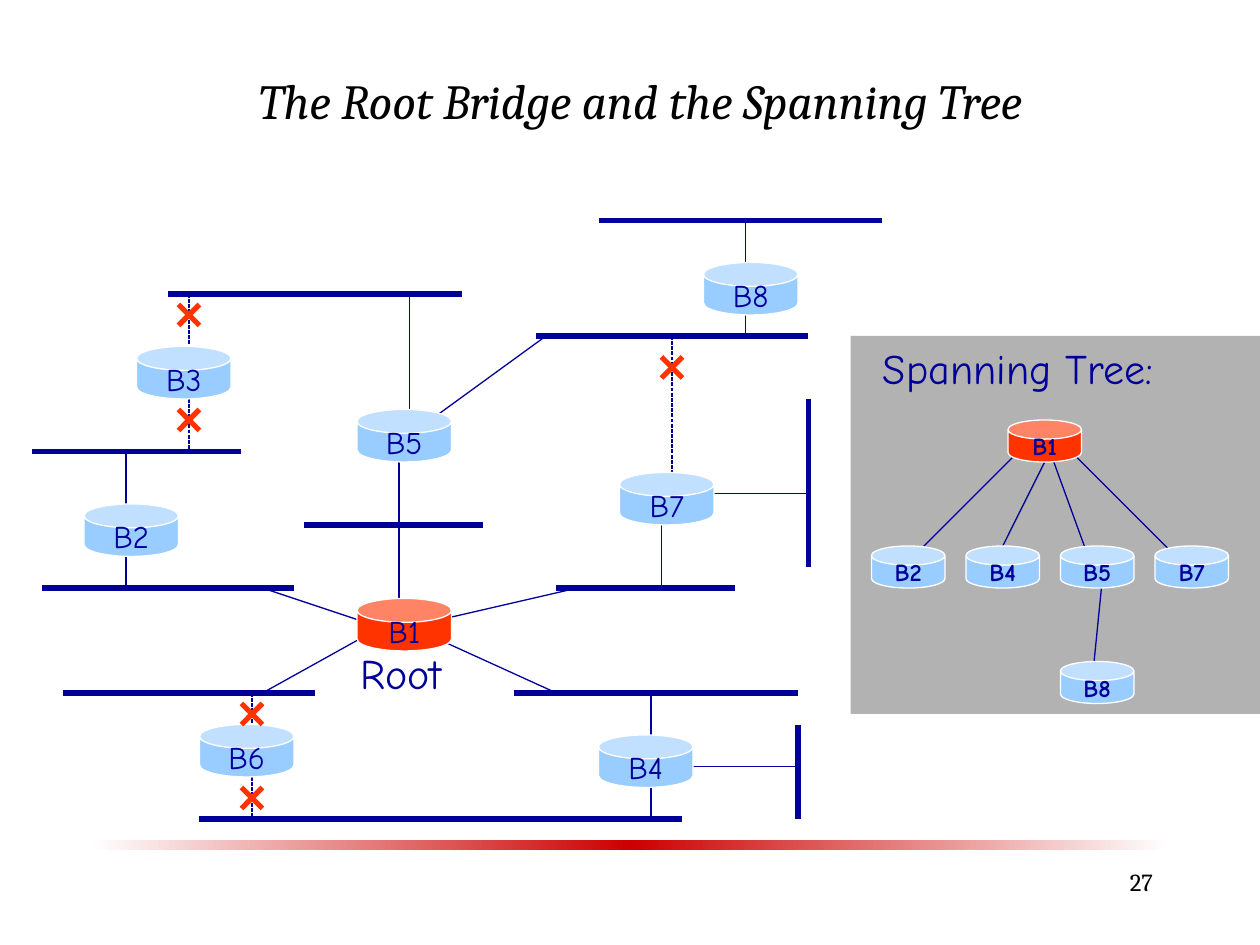
from copy import deepcopy
from pptx import Presentation
from pptx.dml.color import RGBColor
from pptx.enum.dml import MSO_LINE
from pptx.enum.shapes import MSO_CONNECTOR, MSO_SHAPE as SHAPE
from pptx.enum.text import MSO_ANCHOR as ANCHOR, PP_ALIGN as ALIGN
from pptx.oxml.ns import qn
from pptx.util import Pt
from lxml import etree

THEME = dict(
    navy="000099", blue="99CCFF", red="FF3300", grey="B2B2B2", white="FFFFFF",
    black="000000", bar=("FEFEFE", "CC0000", "FEFEFE"),
    serif="Cambria", comic="Comic Neue",
    title=28, heading=24, bridge=18, small=14, thick=3, thin=0.75,
)

# Content: lines are (x1, y1, x2, y2), bridges are name: (left, top), in points
TITLE = "The Root Bridge and the Spanning Tree"
ROOT = "B1"
LANS = [
    (342, 126, 504, 126), (96, 168, 264, 168), (306, 192, 462, 192),
    (462, 228, 462, 324), (18, 258, 138, 258), (174, 300, 276, 300),
    (24, 336, 168, 336), (318, 336, 420, 336), (36, 396, 180, 396),
    (294, 396, 456, 396), (456, 414, 456, 468), (114, 468, 390, 468),
]
LINKS = [
    (72, 336, 72, 306), (72, 288, 72, 258),                             # B2
    (234, 234, 234, 168), (246, 240, 312, 192), (228, 264, 228, 300),   # B5
    (228, 300, 228, 342), (150, 336, 204, 354), (150, 396, 204, 366),   # B1
    (252, 354, 330, 336), (252, 366, 318, 396),
    (372, 420, 372, 396), (372, 450, 372, 468), (390, 438, 456, 438),   # B4
    (378, 300, 378, 336), (408, 282, 462, 282),                         # B7
    (426, 126, 426, 150), (426, 180, 426, 192),                         # B8
]
BLOCKED_LINKS = [
    (108, 168, 108, 198), (108, 216, 108, 258),                         # B3
    (144, 396, 144, 414), (144, 444, 144, 468),                         # B6
    (384, 192, 384, 270),                                               # B7
]
CROSSES = [(108, 180), (108, 240), (144, 408), (144, 456), (384, 210)]
BRIDGES = {
    "B3": (78, 198), "B5": (204, 234), "B7": (354, 270), "B2": (48, 288),
    "B1": (204, 342), "B6": (114, 414), "B4": (342, 420), "B8": (402, 150),
}
TREE_LINKS = [
    (582, 258, 522, 318), (600, 258, 570, 318), (600, 258, 624, 324),
    (612, 258, 678, 324), (630, 330, 624, 390),
]
TREE_CHILDREN = ["B2", "B4", "B5", "B7"]
CHILD_LEFT, CHILD_STEP = 498, 54
TREE = {name: (CHILD_LEFT + i * CHILD_STEP, 312)
        for i, name in enumerate(TREE_CHILDREN)}
TREE |= {"B8": (606, 378), "B1": (576, 240)}
BRIDGE_SIZE, TREE_SIZE, CROSS_ARM = (54, 30), (42, 24), 6

prs = Presentation()
prs.slide_width, prs.slide_height = Pt(720), Pt(540)
slide = prs.slides.add_slide(prs.slide_layouts[5])
shapes = slide.shapes


def rgb(name):
    return RGBColor.from_string(THEME[name])


def write(sp, text, size, font="comic", color="navy", align=ALIGN.LEFT,
          anchor=ANCHOR.TOP, wrap=False, bold=False, italic=False):
    tf = sp.text_frame
    tf.word_wrap, tf.vertical_anchor = wrap, anchor
    p = tf.paragraphs[0]
    p.alignment = align
    r = p.add_run()
    r.text = text
    f = r.font
    f.name, f.size, f.bold, f.italic = THEME[font], Pt(THEME[size]), bold, italic
    f.color.rgb = rgb(color)


def add_text(x, y, w, h, text, size, **fmt):
    write(shapes.add_textbox(Pt(x), Pt(y), Pt(w), Pt(h)), text, size, **fmt)


def add_line(ends, width="thin", color="navy", dash=None):
    line = shapes.add_connector(MSO_CONNECTOR.STRAIGHT, *map(Pt, ends))
    line.line.color.rgb, line.line.width = rgb(color), Pt(THEME[width])
    if dash:
        line.line.dash_style = dash
    etree.SubElement(line._element.spPr, qn("a:effectLst"))


def add_box(kind, x, y, w, h, fill):
    sp = shapes.add_shape(kind, Pt(x), Pt(y), Pt(w), Pt(h))
    sp.shadow.inherit = False
    sp.line.fill.background()
    sp.fill.solid()
    sp.fill.fore_color.rgb = rgb(fill)
    return sp


def add_bridges(places, box, size, bold=False):
    for name, (x, y) in places.items():
        can = add_box(SHAPE.CAN, x, y, *box, "red" if name == ROOT else "blue")
        can.adjustments[0] = 0.455
        can.line.color.rgb, can.line.width = rgb("white"), Pt(THEME["thin"])
        write(can, name, size, bold=bold, align=ALIGN.CENTER, anchor=ANCHOR.MIDDLE)


# Title
title = shapes.title
title.left, title.top, title.width, title.height = map(Pt, (72, 18, 588, 78))
write(title, TITLE, "title", font="serif", color="black", italic=True,
      align=ALIGN.CENTER, anchor=ANCHOR.MIDDLE, wrap=True)

# Footer bar, fading out to both sides
bar = add_box(SHAPE.RECTANGLE, 54, 480, 612, 6, "white")
bar.fill.gradient()
bar.fill.gradient_angle = 0
first = bar.fill.gradient_stops[0]._gs
first.addnext(deepcopy(first))
for i, (stop, color) in enumerate(zip(bar.fill.gradient_stops, THEME["bar"])):
    stop.position = i / 2
    stop.color.rgb = RGBColor.from_string(color)

# Network: LAN segments, links, bridges and blocked ports
add_box(SHAPE.RECTANGLE, 486, 192, 234, 216, "grey")
for ends in LANS:
    add_line(ends, "thick")
for ends in LINKS:
    add_line(ends)
for ends in BLOCKED_LINKS:
    add_line(ends, dash=MSO_LINE.SQUARE_DOT)
add_bridges(BRIDGES, BRIDGE_SIZE, "bridge")
add_text(199, 366.5, 60.5, 36, "Root", "heading")
for x, y in CROSSES:
    for dy in (CROSS_ARM, -CROSS_ARM):
        add_line((x - CROSS_ARM, y + dy, x + CROSS_ARM, y - dy), "thick", "red")

# Spanning tree panel
for ends in TREE_LINKS:
    add_line(ends)
add_bridges(TREE, TREE_SIZE, "small", bold=True)
add_text(497.5, 192, 169, 36, "Spanning Tree:", "heading")

# Slide number
add_text(516, 492, 150, 36, "27", "small", font="serif", color="black",
         align=ALIGN.RIGHT, wrap=True)

prs.save("out.pptx")
